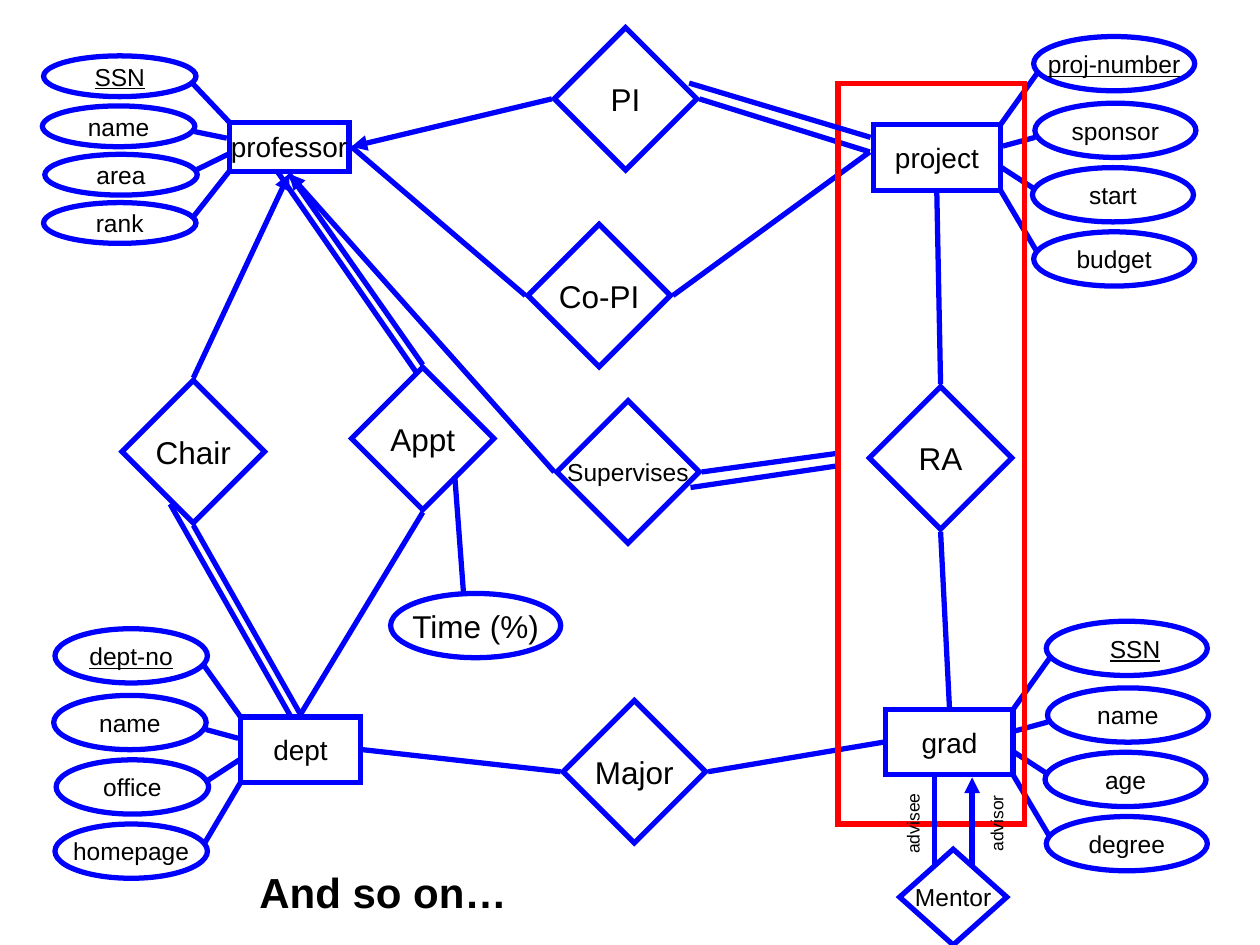
from lxml import etree
from pptx import Presentation
from pptx.dml import color
from pptx.enum import shapes, text
from pptx.oxml import ns
from pptx.util import Pt

BLUE, RED, BLACK = "0000FF", "FF0000", "000000"
LINE_WIDTH = 3
GAP = 1.44  # clearance between an outline and the link that meets it
DIAMOND = 81.4
OVAL_HEIGHT = 31
ENTITY_HEIGHT = 37.4

# Measured from the top corner of an entity of standard height:
# oval gap and top, then the link's start and end (x runs outwards).
ATTRIBUTE_LAYOUT = [
    (19, -50.4, (0, 0), (21, -29.5)),
    (19.7, -12.3, (1.4, 12.2), (19.8, 7.2)),
    (18.3, 24.5, (0.7, 24.5), (20.5, 37.4)),
    (19, 61.2, (0, 37.4), (20.5, 72)),
]


def rgb(hex_code):
    return color.RGBColor.from_string(hex_code)


def write(shape, label, size, align=text.PP_ALIGN.CENTER, bold=None, underline=None):
    frame = shape.text_frame
    frame.word_wrap = False
    frame.text = label
    paragraph = frame.paragraphs[0]
    paragraph.alignment = align
    font = paragraph.runs[0].font
    font.name, font.size, font.color.rgb = "Arial", Pt(size), rgb(BLACK)
    font.bold, font.underline = bold, underline
    return frame


def outline(slide, kind, box, line_color=BLUE):
    shape = slide.shapes.add_shape(kind, *map(Pt, box))
    shape.shadow.inherit = False
    shape.fill.background()
    shape.line.color.rgb = rgb(line_color)
    shape.line.width = Pt(LINE_WIDTH)
    etree.SubElement(shape.line._get_or_add_ln(), ns.qn("a:miter"), lim="800000")
    return shape


def node(slide, kind, box, label, size, underline=None):
    shape = outline(slide, kind, box)
    write(shape, label, size, underline=underline)
    shape.text_frame.vertical_anchor = text.MSO_ANCHOR.MIDDLE
    return shape


def link(slide, start, end, arrow=False):
    connector = slide.shapes.add_connector(
        shapes.MSO_CONNECTOR.STRAIGHT, *map(Pt, (*start, *end)))
    connector.line.color.rgb = rgb(BLUE)
    connector.line.width = Pt(LINE_WIDTH)
    if arrow:
        etree.SubElement(connector.line._get_or_add_ln(),
                         ns.qn("a:tailEnd"), type="triangle")
    etree.SubElement(connector._element.spPr, ns.qn("a:effectLst"))


def caption(slide, box, label, size, align, rotation=0, bold=None):
    textbox = slide.shapes.add_textbox(*map(Pt, box))
    textbox.rotation = rotation
    return write(textbox, label, size, align, bold)


def port(box, side):
    """Return the point just outside the middle of one side of the box."""
    left, top, width, height = box
    return {
        "left": (left - GAP, top + height / 2),
        "right": (left + width + GAP, top + height / 2),
        "top": (left + width / 2, top - GAP),
        "bottom": (left + width / 2, top + height + GAP),
    }[side]


def entity(slide, box, name, attributes, outwards, oval_width):
    """Place an entity and its attributes, outwards being -1 for left, 1 for right.

    The first attribute is the key. Returns the attribute ovals.
    """
    left, top, width, height = box
    node(slide, shapes.MSO_SHAPE.RECTANGLE, box, name, 16)
    scale = height / ENTITY_HEIGHT
    edge = left + width if outwards > 0 else left
    ovals = []
    for i, (label, layout) in enumerate(zip(attributes, ATTRIBUTE_LAYOUT)):
        gap, offset, *link_ends = layout
        oval_left = edge + gap if outwards > 0 else edge - gap - oval_width
        oval_box = (oval_left, top + offset * scale, oval_width, OVAL_HEIGHT * scale)
        ovals.append(node(slide, shapes.MSO_SHAPE.OVAL, oval_box, label, 14,
                          underline=True if i == 0 else None))
        link(slide, *[(edge + outwards * x, top + y * scale) for x, y in link_ends])
    return ovals


def relationship(slide, corner, name, links, size=18):
    """Place a diamond and its links, each given as (side, target, arrow)."""
    box = (*corner, DIAMOND, DIAMOND)
    node(slide, shapes.MSO_SHAPE.DIAMOND, box, name, size)
    for side, target, arrow in links:
        link(slide, port(box, side), target, arrow)


def mentor(slide, box, link_top):
    left, top, width, height = box
    node(slide, shapes.MSO_SHAPE.DIAMOND, box, "Mentor", 14)
    middle = left + width / 2
    for offset, arrow in ((-10.8, False), (10.8, True)):
        link(slide, (middle + offset, top + 10), (middle + offset, link_top), arrow)
    for role, offset, length in (("advisee", -16.6, 48.2), ("advisor", 32.4, 46.1)):
        role_frame = caption(slide, (left + offset, top - 24.5, length, 19.4), role, 10,
                             text.PP_ALIGN.RIGHT, rotation=270)
        role_frame.margin_left = 0  # keeps the role on one line


def main():
    deck = Presentation()
    deck.slide_width, deck.slide_height = Pt(720), Pt(540)
    slide = deck.slides.add_slide(deck.slide_layouts[6])

    professor = (131, 69.8, 68.4, 28.1)
    project = (499, 71.3, 72.7, ENTITY_HEIGHT)
    dept = (137.5, 409.7, 68.4, ENTITY_HEIGHT)
    grad = (506.2, 405.4, 72.7, ENTITY_HEIGHT)
    frame = (478.8, 47.5, 106.6, 423.4)

    entity(slide, professor, "professor", ["SSN", "name", "area", "rank"], -1, 87.1)
    entity(slide, project, "project",
           ["proj-number", "sponsor", "start", "budget"], 1, 92)
    entity(slide, dept, "dept", ["dept-no", "name", "office", "homepage"], -1, 87.1)
    grad_key, *_ = entity(slide, grad, "grad", ["SSN", "name", "age", "degree"], 1, 92)
    grad_key.text_frame.margin_left = Pt(16.6)

    professor_right, professor_bottom = port(professor, "right"), port(professor, "bottom")
    project_left = (497, 86.8)
    dept_top = port(dept, "top")
    relationship(slide, (316.8, 15.8), "PI",
                 [("left", professor_right, True), ("right", project_left, False)])
    relationship(slide, (301.7, 128.2), "Co-PI",
                 [("left", professor_right, False), ("right", project_left, False)])
    relationship(slide, (496.8, 221), "RA",
                 [("top", port(project, "bottom"), False),
                  ("bottom", port(grad, "top"), False)])
    relationship(slide, (321.8, 400.3), "Major",
                 [("left", port(dept, "right"), False),
                  ("right", port(grad, "left"), False)])
    relationship(slide, (69.8, 217.4), "Chair",
                 [("top", professor_bottom, True), ("bottom", dept_top, False)])
    relationship(slide, (200.9, 209.9), "Appt",
                 [("top", professor_bottom, False), ("bottom", dept_top, False)])
    relationship(slide, (318.2, 229), "Supervises",
                 [("left", professor_bottom, True),
                  ("right", (frame[0] - GAP, 259.2), False)], size=14)

    outline(slide, shapes.MSO_SHAPE.RECTANGLE, frame, RED)
    mentor(slide, (514.1, 485.3, 61.2, 54.7), port(grad, "bottom")[1])

    link(slide, (259.9, 272.2), (265, 340.6))
    node(slide, shapes.MSO_SHAPE.OVAL, (223.2, 339.1, 97.2, 36.7), "Time (%)", 18)

    # Second strokes of the total-participation links
    for start, end in [
        ((393.8, 47.5), (497.5, 78.5)),
        ((394.6, 278.6), (477.4, 266.4)),
        ((158.4, 97.9), (237.6, 212.4)),
        ((166.3, 409.7), (97.2, 288)),
    ]:
        link(slide, start, end)

    caption(slide, (141.1, 491.8, 155.5, 36), "And so on…", 24,
            text.PP_ALIGN.CENTER, bold=True)
    deck.save("out.pptx")


if __name__ == "__main__":
    main()
